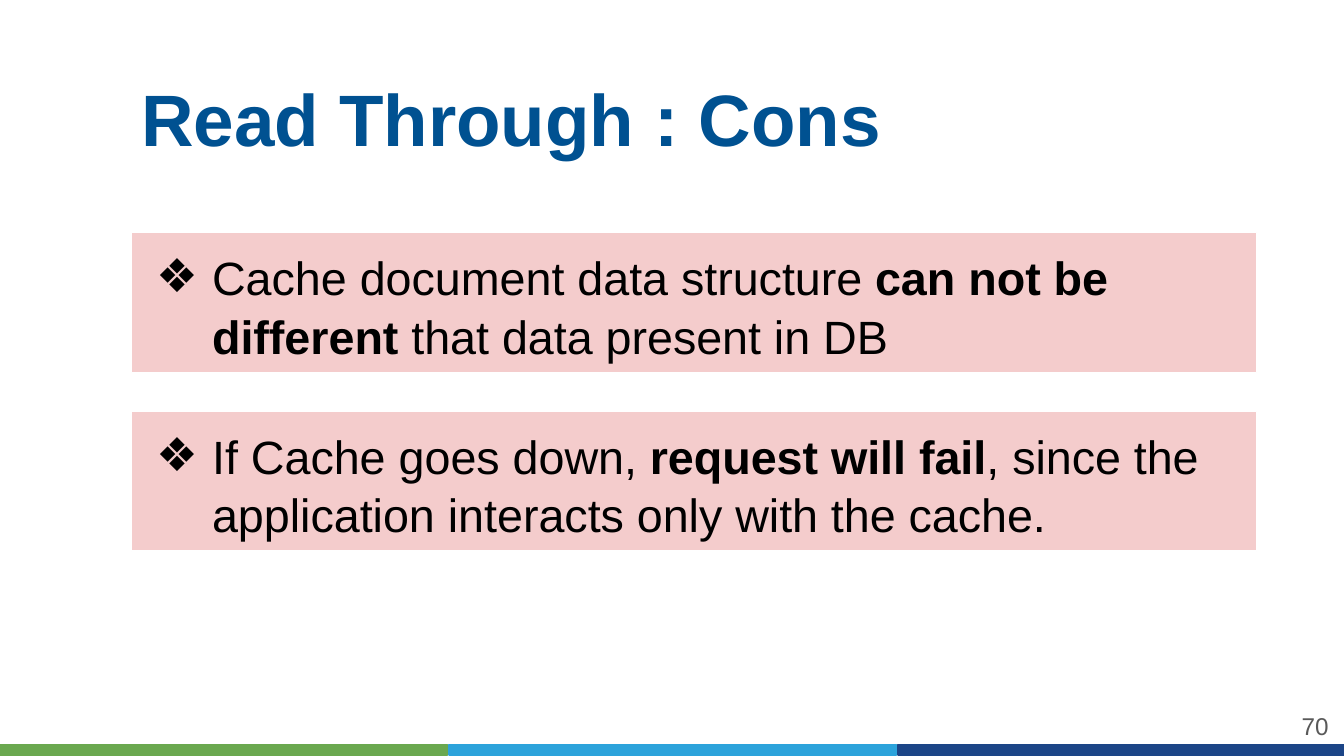
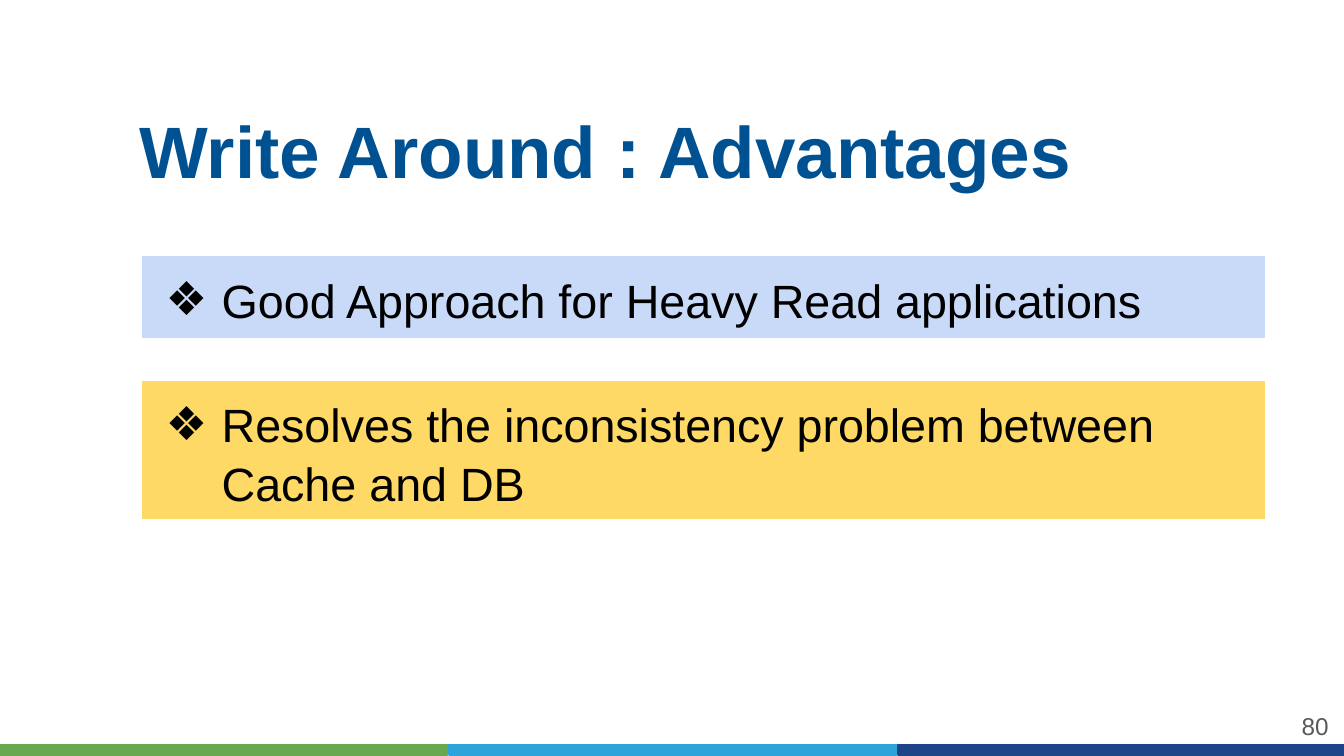
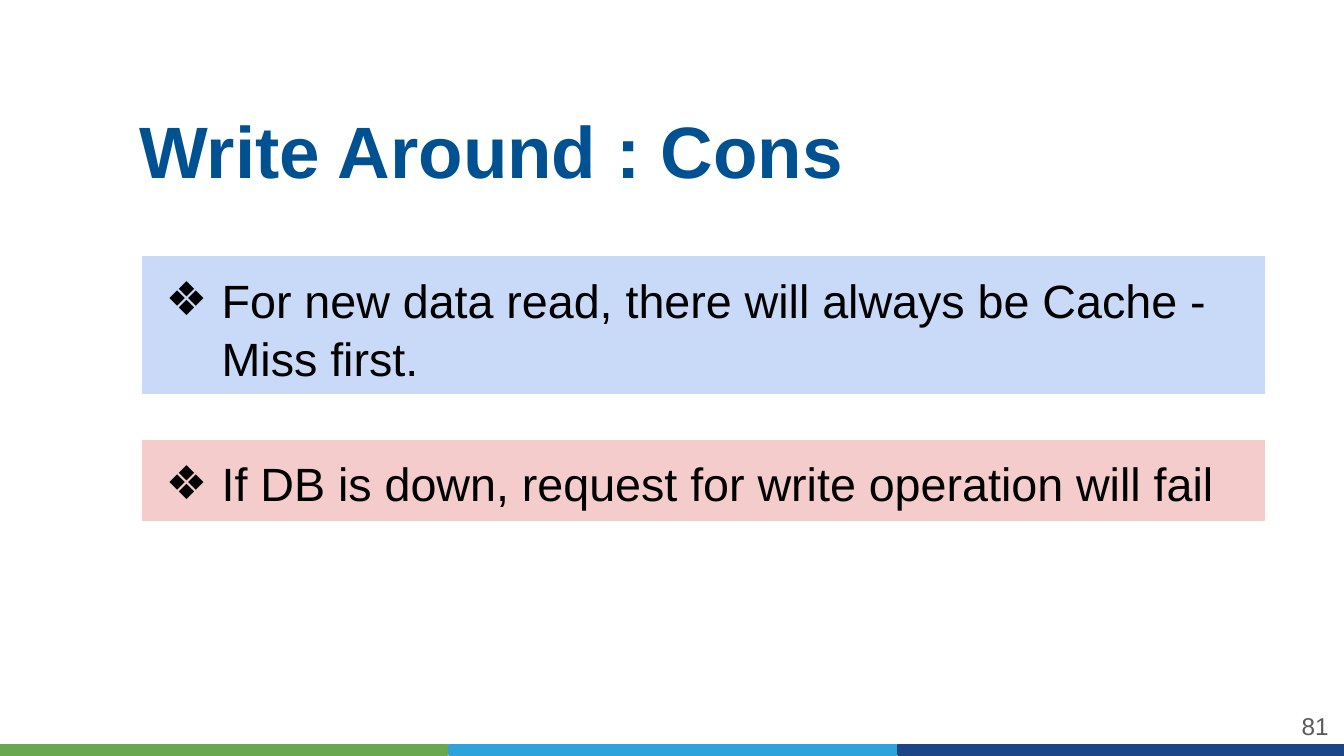
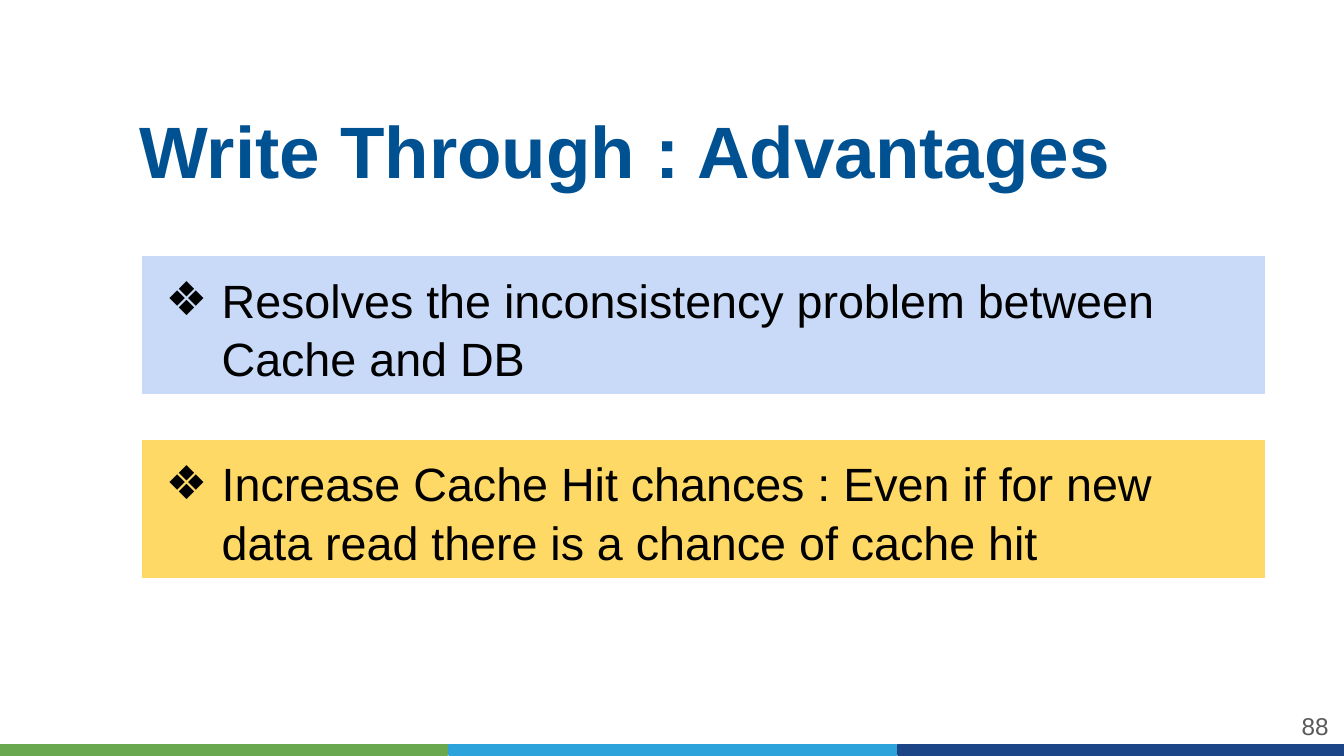
from pptx import Presentation
from pptx.dml.color import RGBColor
from pptx.enum import shapes, text
from pptx.oxml import parse_xml
from pptx.oxml.ns import nsdecls
from pptx.util import Cm, Pt

COLORS = {
    "title": "005191",
    "body": "000000",
    "number": "595959",
    "green": "6AA84F",
    "sky": "2CA3DB",
    "navy": "1C4587",
    "red_card": "F4CCCC",
    "blue_card": "C9DAF8",
    "yellow_card": "FFD966",
    "card_line": "FFFFFF",
}
FONT = "Arial"
SLIDE_W, SLIDE_H = 25.4, 14.29
BAND_H = 0.2
CARD_W = 21.26
CARD_PAD = 0.25
CARD_LINE_H = 1.07
TITLE_W, TITLE_H = 22.02, 2.03

# Title corner, first card corner and gap between the cards, all in cm
READ_PLACES = {"title_at": (2.49, 1.19), "cards_at": (2.49, 4.4), "gap": 0.74}
WRITE_PLACES = {"title_at": (2.46, 1.8), "cards_at": (2.67, 4.83), "gap": 0.83}

# Each card: fill, number of text lines, runs as (text, bold)
SLIDES = [
    ("Read Through : Cons", 70, READ_PLACES, [
        ("red_card", 2, [("Cache document data structure ", False),
                         ("can not be different", True),
                         (" that data present in DB", False)]),
        ("red_card", 2, [("If Cache goes down, ", False),
                         ("request will fail", True),
                         (", since the application interacts only with the cache.", False)]),
    ]),
    ("Write Around : Advantages", 80, {**WRITE_PLACES, "gap": 0.79}, [
        ("blue_card", 1, [("Good Approach for Heavy Read applications", False)]),
        ("yellow_card", 2, [("Resolves the inconsistency problem between Cache and DB", False)]),
    ]),
    ("Write Around : Cons", 81, WRITE_PLACES, [
        ("blue_card", 2, [("For new data read, there will always be Cache - Miss first.", False)]),
        ("red_card", 1, [("If DB is down, request for write operation will fail", False)]),
    ]),
    ("Write Through : Advantages", 88, WRITE_PLACES, [
        ("blue_card", 2, [("Resolves the inconsistency problem between Cache and DB", False)]),
        ("yellow_card", 2, [("Increase Cache Hit chances : Even if for new data read "
                             "there is a chance of cache hit", False)]),
    ]),
]


def rgb(name):
    return RGBColor.from_string(COLORS[name])


def write(sp, runs, *, size, color, align=text.PP_ALIGN.LEFT,
          anchor=text.MSO_ANCHOR.TOP, pad=0.18):
    """Fill a shape with one paragraph of (text, bold) runs and return it."""
    tf = sp.text_frame
    tf.word_wrap = True
    tf.vertical_anchor = anchor
    tf.margin_left = tf.margin_top = tf.margin_right = tf.margin_bottom = Cm(pad)
    p = tf.paragraphs[0]
    p.alignment = align
    for words, bold in runs:
        r = p.add_run()
        r.text = words
        r.font.name = FONT
        r.font.size = Pt(size)
        r.font.bold = bold
        r.font.color.rgb = rgb(color)
    return p


def add_text(s, box, runs, **style):
    return write(s.shapes.add_textbox(*map(Cm, box)), runs, **style)


def add_rect(s, box, fill, line):
    sp = s.shapes.add_shape(shapes.MSO_SHAPE.RECTANGLE, *map(Cm, box))
    sp.shadow.inherit = False
    sp.fill.solid()
    sp.fill.fore_color.rgb = rgb(fill)
    sp.line.color.rgb = rgb(line)
    sp.line.width = Pt(0.75)
    return sp


def add_bullet(p):
    pPr = p._p.get_or_add_pPr()
    pPr.set("marL", str(Cm(1.27)))
    pPr.set("indent", str(Cm(-1.06)))
    ns = nsdecls("a")
    for xml in (f'<a:buClr {ns}><a:srgbClr val="{COLORS["body"]}"/></a:buClr>',
                f'<a:buFont {ns} typeface="{FONT}"/>',
                f'<a:buChar {ns} char="❖"/>'):
        pPr.append(parse_xml(xml))


def add_footer(s, number):
    step = SLIDE_W / 3
    for i, color in enumerate(("green", "sky", "navy")):
        box = (i * (step + 0.02), SLIDE_H - BAND_H - 0.02, step - 0.01, BAND_H)
        add_rect(s, box, color, color)
    add_text(s, (23.77, 13.18, 1.52, 1.09), [(str(number), False)],
             size=13, color="number", align=text.PP_ALIGN.RIGHT,
             anchor=text.MSO_ANCHOR.MIDDLE)


def add_cards(s, corner, gap, cards):
    """Stack bulleted cards downwards from the corner."""
    left, top = corner
    for fill, lines, runs in cards:
        height = 2 * CARD_PAD + lines * CARD_LINE_H
        sp = add_rect(s, (left, top, CARD_W, height), fill, "card_line")
        p = write(sp, runs, size=25, color="body", pad=CARD_PAD)
        p.line_spacing = 1.05
        add_bullet(p)
        sp.text_frame.auto_size = text.MSO_AUTO_SIZE.SHAPE_TO_FIT_TEXT
        top += height + gap


def add_card_slide(prs, title, number, places, cards):
    s = prs.slides.add_slide(prs.slide_layouts[6])
    add_footer(s, number)
    add_text(s, (*places["title_at"], TITLE_W, TITLE_H), [(title, True)],
             size=39, color="title", anchor=text.MSO_ANCHOR.BOTTOM)
    add_cards(s, places["cards_at"], places["gap"], cards)


def main():
    prs = Presentation()
    prs.slide_width, prs.slide_height = Cm(SLIDE_W), Cm(SLIDE_H)
    for content in SLIDES:
        add_card_slide(prs, *content)
    prs.save("out.pptx")


if __name__ == "__main__":
    main()
